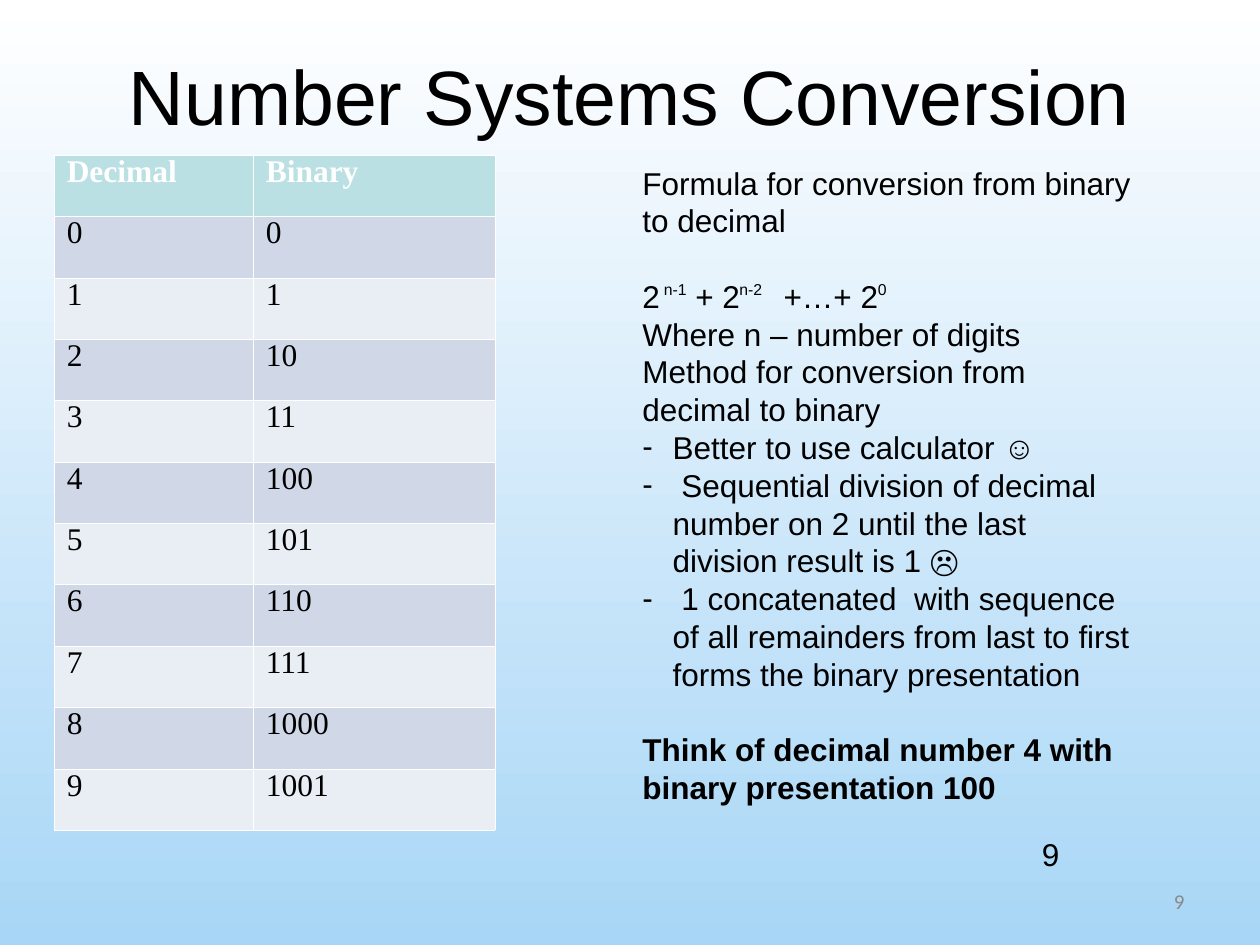
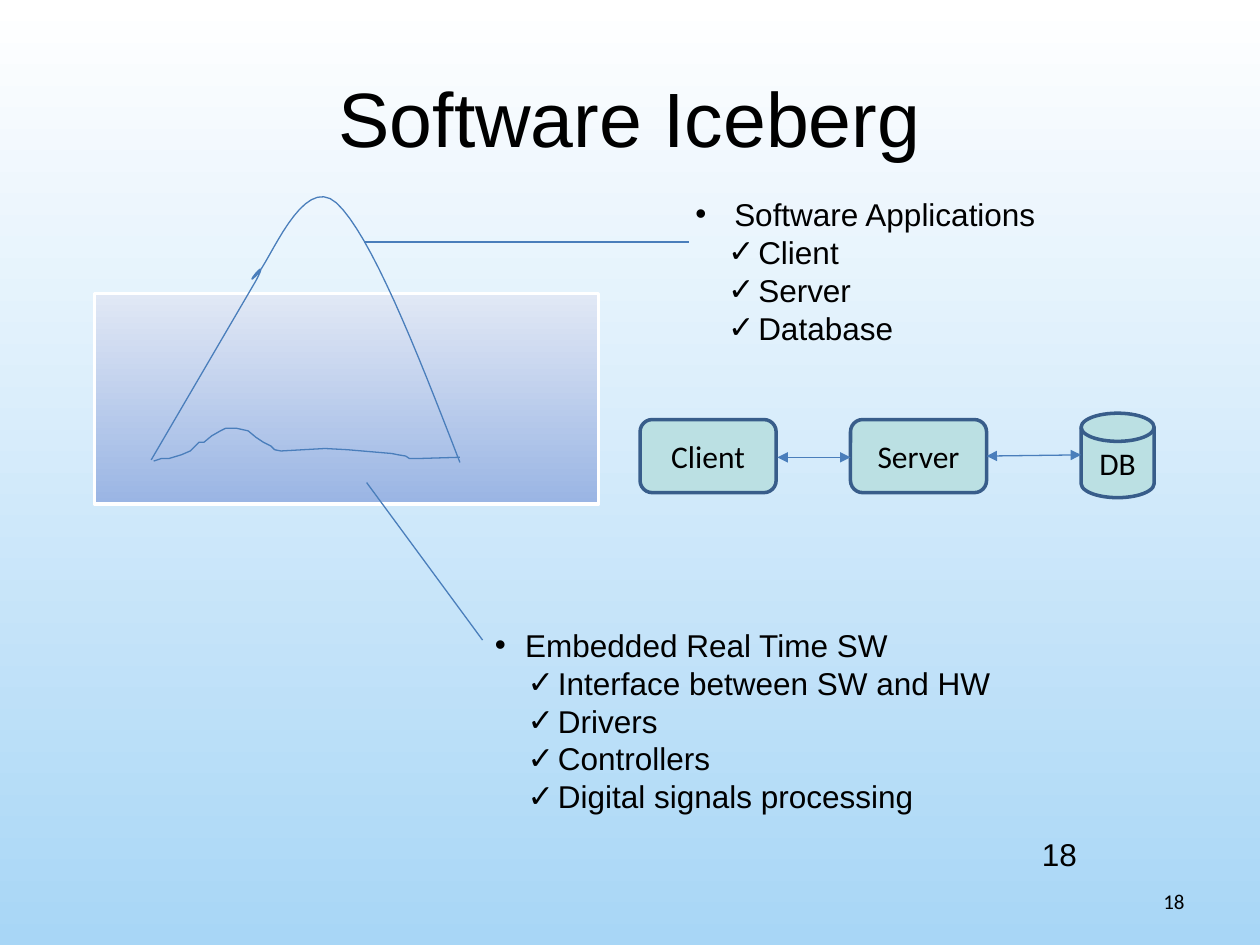
from lxml.etree import SubElement
from pptx import Presentation
from pptx.dml.color import RGBColor
from pptx.enum.shapes import MSO_CONNECTOR, MSO_SHAPE
from pptx.enum.text import MSO_ANCHOR, PP_ALIGN
from pptx.oxml.ns import qn
from pptx.util import Inches, Pt

BLACK, WHITE, GREY = "000000", "FFFFFF", "898989"
TEAL, NAVY, BLUE = "BBE0E3", "385D8A", "4A7EBB"
SKY = (WHITE, "A8D6F6")
WATER = ("E1E8F5", "9AB5E4")
ROW_BANDS = ("E9EDF4", "D0D8E8")
BULLET_MARGINS = {"-": 0.24, "•": 0.24, "✓": 0.5}
HANGING = 0.24

color = RGBColor.from_string


def write(text_frame, lines, size=18, font="Arial", text_color=BLACK,
          align=PP_ALIGN.LEFT, anchor=MSO_ANCHOR.TOP):
    """Fill a frame with lines, each a string or a (bullet, string) pair."""
    text_frame.word_wrap = True
    text_frame.vertical_anchor = anchor
    for index, line in enumerate(lines):
        bullet, text = line if isinstance(line, tuple) else (None, line)
        paragraph = text_frame.paragraphs[0] if index == 0 else text_frame.add_paragraph()
        paragraph.text = text
        paragraph.alignment = align
        if bullet:
            properties = paragraph._p.get_or_add_pPr()
            properties.set("marL", str(Inches(BULLET_MARGINS[bullet])))
            properties.set("indent", str(-Inches(HANGING)))
            SubElement(properties, qn("a:buFont"), typeface="Arial")
            SubElement(properties, qn("a:buChar"), char=bullet)
        for run in paragraph.runs:
            run.font.size = Pt(size)
            run.font.name = font
            run.font.color.rgb = color(text_color)


def add_text(slide, left, top, width, height, lines, **style):
    box = slide.shapes.add_textbox(Inches(left), Inches(top), Inches(width), Inches(height))
    write(box.text_frame, lines, **style)
    return box.text_frame


presentation = Presentation()
presentation.slide_width = Inches(10)
presentation.slide_height = Inches(7.5)
background = presentation.slide_master.background.fill

# Title and both page numbers
slides = []
for title, title_top, number, number_color in (
    ("Number Systems Conversion", 0.13, "9", GREY),
    ("Software Iceberg", 0.3, "18", BLACK),
):
    slide = presentation.slides.add_slide(presentation.slide_layouts[6])
    add_text(slide, 0.5, title_top, 9, 1.25, [title], size=44,
             align=PP_ALIGN.CENTER, anchor=MSO_ANCHOR.MIDDLE)
    add_text(slide, 7.17, 6.95, 2.33, 0.4, [number], size=12, font="Calibri",
             text_color=number_color, align=PP_ALIGN.RIGHT, anchor=MSO_ANCHOR.MIDDLE)
    add_text(slide, 8.17, 6.58, 2.33, 0.51, [number])
    slides.append(slide)
conversion, iceberg = slides

# Conversion: table of decimal and binary numbers
rows = [("Decimal", "Binary")] + [(str(n), f"{n:b}") for n in range(10)]
table = conversion.shapes.add_table(
    len(rows), 2, Inches(0.43), Inches(1.23), Inches(3.5), Inches(5.36)).table
table.columns[0].width = Inches(1.58)
table.columns[1].width = Inches(1.92)
for row_index, row in enumerate(rows):
    header = row_index == 0
    for column_index, value in enumerate(row):
        cell = table.cell(row_index, column_index)
        write(cell.text_frame, [value], font="Times New Roman",
              text_color=WHITE if header else BLACK)
        paragraph = cell.text_frame.paragraphs[0]
        paragraph.line_spacing = 0.76
        paragraph.runs[0].font.bold = header
        for side in ("a:lnL", "a:lnR", "a:lnT", "a:lnB"):
            border = SubElement(cell._tc.get_or_add_tcPr(), qn(side), w=str(Pt(0.06)))
            SubElement(SubElement(border, qn("a:solidFill")), qn("a:srgbClr"), val=WHITE)
        cell.fill.solid()
        cell.fill.fore_color.rgb = color(TEAL if header else ROW_BANDS[row_index % 2])

# Conversion: formula and method
explanation = add_text(conversion, 5, 1.25, 4.08, 5.2, [
    "Formula for conversion from binary to decimal",
    "2\t+ 2\t+…+ 2",
    "Where n – number of digits",
    "Method for conversion from decimal to binary",
    ("-", "Better to use calculator ☺"),
    ("-", " Sequential division of decimal number on 2 until the last division result is 1 ☹"),
    ("-", " 1 concatenated  with sequence of all remainders from last to first "
          "forms the binary presentation"),
    "Think of decimal number 4 with binary presentation 100",
])
formula, conclusion = explanation.paragraphs[1], explanation.paragraphs[-1]
for paragraph in (formula, conclusion):
    paragraph.space_before = Pt(21.5)
conclusion.runs[0].font.bold = True
tab_list = SubElement(formula._p.get_or_add_pPr(), qn("a:tabLst"))
for position in (0.42, 1.12):
    SubElement(tab_list, qn("a:tab"), pos=str(Inches(position)), algn="l")
for left, exponent in ((5.17, "n-1"), (5.77, "n-2"), (6.87, "0")):
    add_text(conversion, left, 2.17, 1, 0.25, [exponent], size=9)

# Iceberg: water, outline and waterline
water = iceberg.shapes.add_shape(
    MSO_SHAPE.RECTANGLE, Inches(0.75), Inches(2.33), Inches(4), Inches(1.67))
water.shadow.inherit = False
water.line.color.rgb = color(WHITE)
water.line.width = Pt(2)
for fill, stops in ((background, SKY), (water.fill, WATER)):
    fill.gradient()
    fill.gradient_angle = 270
    for stop, stop_color in zip(fill.gradient_stops, stops):
        stop.color.rgb = color(stop_color)

outline = [(1.2, 3.65), (2.03, 2.23)]
CURVE_STEPS = 16
for control_1, control_2, end in (
    ((2.16, 1.99), (1.92, 2.3), (2.03, 2.19)),
    ((2.14, 2.09), (2.4, 1.37), (2.67, 1.61)),
    ((2.94, 1.86), (3.3, 2.76), (3.65, 3.67)),
):
    start = outline[-1]
    for step in range(1, CURVE_STEPS + 1):
        t = step / CURVE_STEPS
        weights = ((1 - t) ** 3, 3 * t * (1 - t) ** 2, 3 * t ** 2 * (1 - t), t ** 3)
        corners = (start, control_1, control_2, end)
        outline.append(tuple(sum(w * corner[axis] for w, corner in zip(weights, corners))
                             for axis in (0, 1)))
waterline = [
    (1.22, 3.66), (1.28, 3.64), (1.34, 3.64), (1.44, 3.61), (1.51, 3.58), (1.58, 3.51),
    (1.62, 3.51), (1.68, 3.46), (1.75, 3.42), (1.79, 3.4), (1.88, 3.4), (1.97, 3.42),
    (2.03, 3.47), (2.09, 3.51), (2.15, 3.54), (2.18, 3.57), (2.23, 3.58), (2.58, 3.56),
    (2.76, 3.57), (3.11, 3.6), (3.16, 3.61), (3.22, 3.62), (3.25, 3.64), (3.31, 3.64),
    (3.65, 3.63),
]
for points in (outline, waterline):
    vertices = [(Inches(x), Inches(y)) for x, y in points]
    builder = iceberg.shapes.build_freeform(*vertices[0])
    builder.add_line_segments(vertices[1:], close=False)
    shape = builder.convert_to_shape()
    shape.shadow.inherit = False
    shape.fill.background()
    shape.line.color.rgb = color(BLUE)
    shape.line.width = Pt(0.75)

# Iceberg: client, server and database
for kind, left, top, width, height, label in (
    (MSO_SHAPE.ROUNDED_RECTANGLE, 5.08, 3.33, 1.08, 0.58, "Client"),
    (MSO_SHAPE.ROUNDED_RECTANGLE, 6.75, 3.33, 1.08, 0.58, "Server"),
    (MSO_SHAPE.FLOWCHART_MAGNETIC_DISK, 8.58, 3.28, 0.58, 0.67, "DB"),
):
    shape = iceberg.shapes.add_shape(
        kind, Inches(left), Inches(top), Inches(width), Inches(height))
    shape.shadow.inherit = False
    shape.fill.solid()
    shape.fill.fore_color.rgb = color(TEAL)
    shape.line.color.rgb = color(NAVY)
    shape.line.width = Pt(2)
    write(shape.text_frame, [label], font="Calibri",
          align=PP_ALIGN.CENTER, anchor=MSO_ANCHOR.MIDDLE)

# Iceberg: leader lines and double arrows
for x1, y1, x2, y2, arrows in (
    (2.89, 1.92, 5.47, 1.92, False),
    (2.91, 3.83, 3.83, 5.08, False),
    (6.17, 3.63, 6.75, 3.63, True),
    (7.83, 3.62, 8.58, 3.61, True),
):
    connector = iceberg.shapes.add_connector(
        MSO_CONNECTOR.STRAIGHT, Inches(x1), Inches(y1), Inches(x2), Inches(y2))
    connector.line.color.rgb = color(BLUE)
    connector.line.width = Pt(0.75)
    properties = connector._element.spPr
    SubElement(properties, qn("a:effectLst"))
    if arrows:
        for end in ("a:headEnd", "a:tailEnd"):
            SubElement(properties.find(qn("a:ln")), qn(end), type="triangle")

# Iceberg: what lies above and below the water
add_text(iceberg, 5.42, 1.5, 4.17, 1.3, [
    ("•", " Software Applications"),
    ("✓", "Client"),
    ("✓", "Server"),
    ("✓", "Database"),
])
add_text(iceberg, 3.83, 4.92, 4.58, 1.6, [
    ("•", "Embedded Real Time SW"),
    ("✓", "Interface between SW and HW"),
    ("✓", "Drivers"),
    ("✓", "Controllers"),
    ("✓", "Digital signals processing"),
])

presentation.save("out.pptx")
